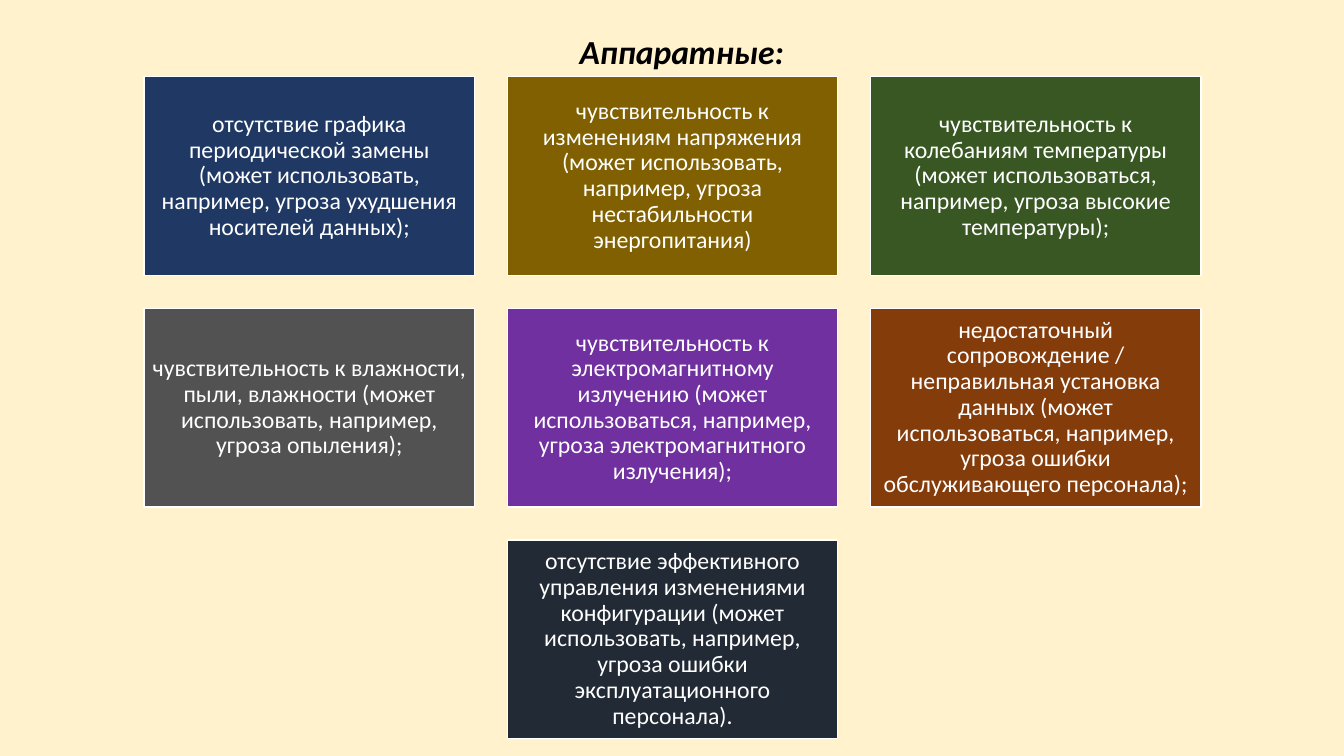
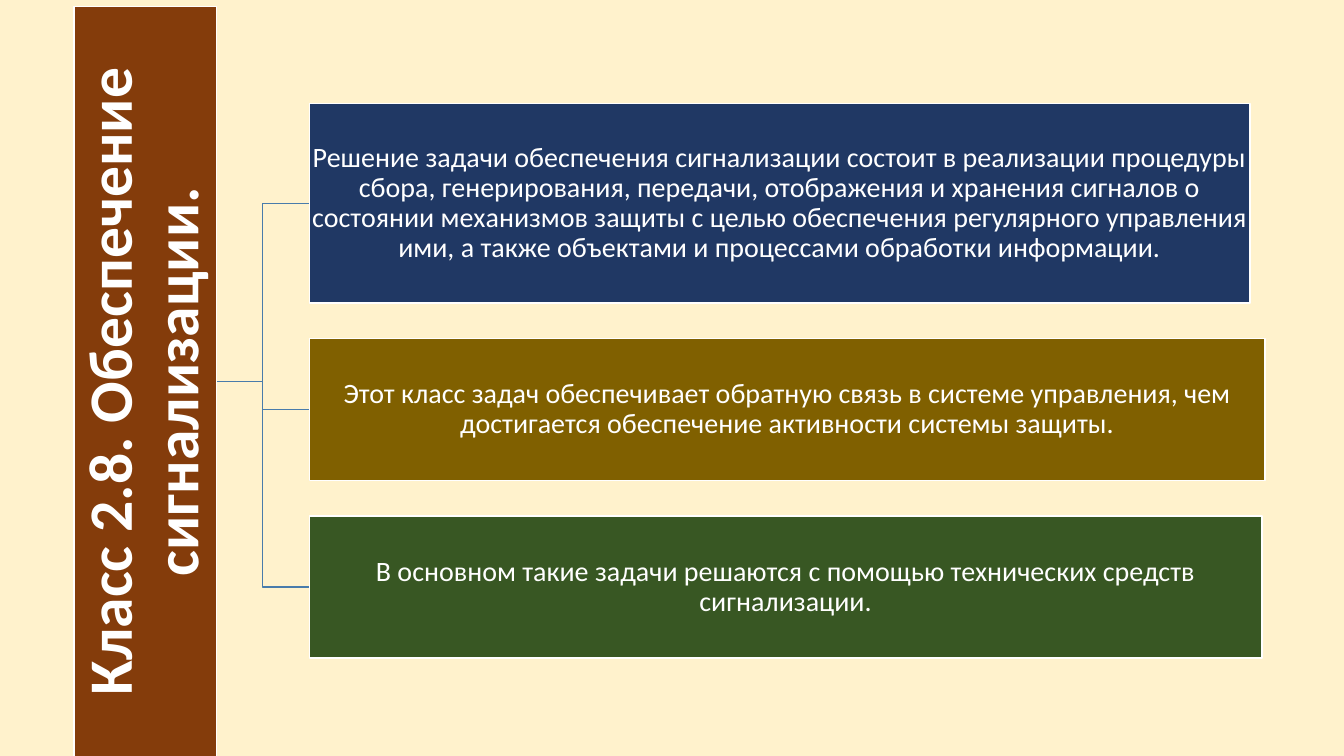
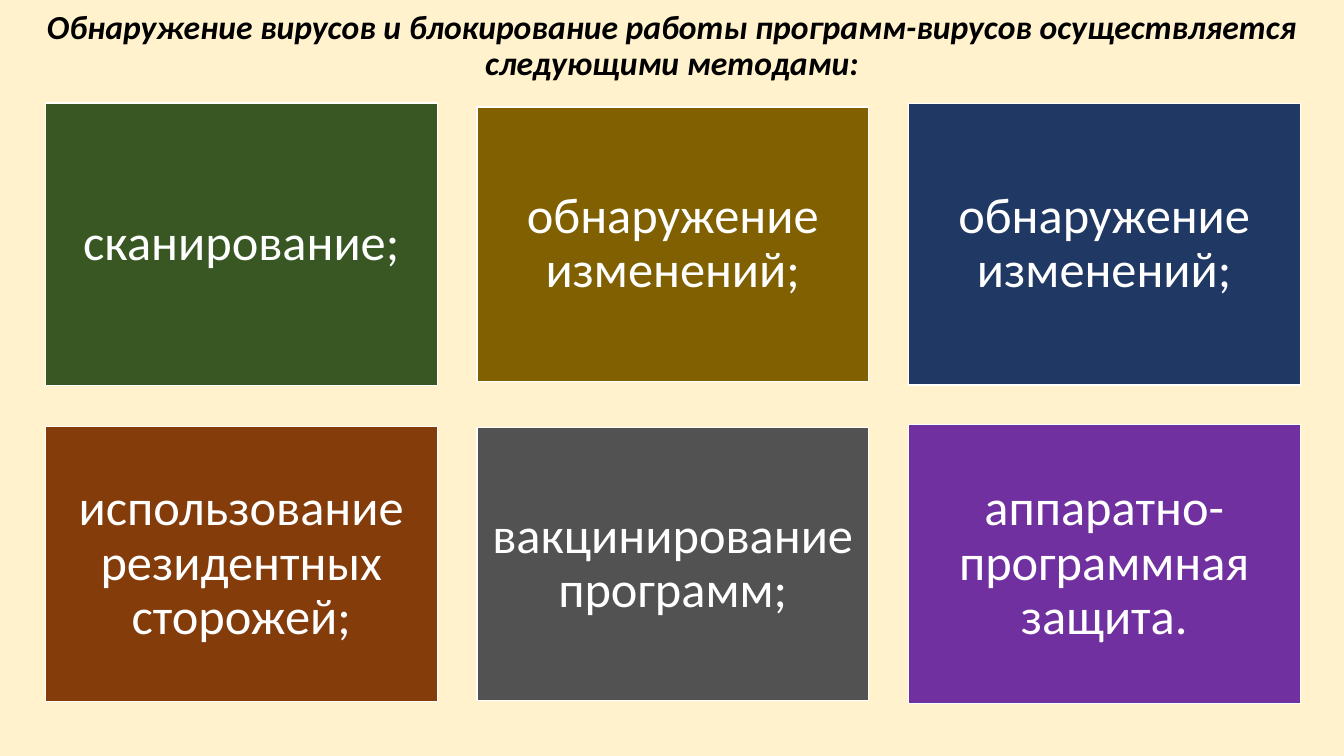
import pptx
import pptx.util
import pptx.dml.color
import pptx.enum.shapes
import pptx.enum.text
import pptx.oxml.ns
import lxml.etree

Pt = pptx.util.Pt
RGBColor = pptx.dml.color.RGBColor

CREAM = RGBColor(0xFF, 0xF2, 0xCC)
WHITE = RGBColor(0xFF, 0xFF, 0xFF)
BLACK = RGBColor(0x00, 0x00, 0x00)
NAVY = RGBColor(0x20, 0x38, 0x64)
OLIVE = RGBColor(0x80, 0x60, 0x00)
GREEN = RGBColor(0x38, 0x57, 0x23)
GRAY = RGBColor(0x52, 0x52, 0x52)
PURPLE = RGBColor(0x70, 0x30, 0xA0)
BROWN = RGBColor(0x84, 0x3C, 0x0B)
SLATE = RGBColor(0x22, 0x2A, 0x35)
BLUE = RGBColor(0x49, 0x7C, 0xAB)

FONT = "Calibri"
COLUMNS = 3

HARDWARE_TITLE = "Аппаратные:"
HARDWARE_CARDS = [
    (NAVY, "отсутствие графика периодической замены (может использовать, например, угроза ухудшения носителей данных);"),
    (OLIVE, "чувствительность к изменениям напряжения (может использовать, например, угроза нестабильности энергопитания)"),
    (GREEN, "чувствительность к колебаниям температуры (может использоваться, например, угроза высокие температуры);"),
    (GRAY, "чувствительность к влажности, пыли, влажности (может использовать, например, угроза опыления);"),
    (PURPLE, "чувствительность к электромагнитному излучению (может использоваться, например, угроза электромагнитного излучения);"),
    (BROWN, "недостаточный сопровождение / неправильная установка данных (может использоваться, например, угроза ошибки обслуживающего персонала);"),
    (SLATE, "отсутствие эффективного управления изменениями конфигурации (может использовать, например, угроза ошибки эксплуатационного персонала)."),
]

SIGNAL_TITLE = "Класс 2.8. Обеспечение сигнализации."
SIGNAL_PANELS = [
    (NAVY, 671.8, 142.5, "Решение задачи обеспечения сигнализации состоит в реализации процедуры сбора, генерирования, передачи, отображения и хранения сигналов о состоянии механизмов защиты с целью обеспечения регулярного управления ими, а также объектами и процессами обработки информации."),
    (OLIVE, 682.6, 101.5, "Этот класс задач обеспечивает обратную связь в системе управления, чем достигается обеспечение активности системы защиты."),
    (GREEN, 680.4, 101.5, "В основном такие задачи решаются с помощью технических средств сигнализации."),
]

VIRUS_TITLE = "Обнаружение вирусов и блокирование работы программ-вирусов осуществляется следующими методами:"
VIRUS_CARDS = [
    (GREEN, 202, "сканирование;"),
    (OLIVE, 196, "обнаружение изменений;"),
    (NAVY, 201, "обнаружение изменений;"),
    (BROWN, 196.5, "использование резидентных сторожей;"),
    (GRAY, 195, "вакцинирование программ;"),
    (PURPLE, 199, "аппаратно-программная защита."),
]


def set_text(shape, text, size, color, inset, bold=False, italic=False):
    frame = shape.text_frame
    frame.word_wrap = True
    frame.vertical_anchor = pptx.enum.text.MSO_ANCHOR.MIDDLE
    frame.margin_left = frame.margin_right = Pt(inset)
    frame.margin_top = frame.margin_bottom = Pt(inset)
    para = frame.paragraphs[0]
    para.text = text
    para.alignment = pptx.enum.text.PP_ALIGN.CENTER
    para.line_spacing = 0.9
    font = para.font
    font.name, font.size = FONT, Pt(size)
    font.bold, font.italic = bold, italic
    font.color.rgb = color


def add_title(page, text, left, top, width, height):
    box = page.shapes.add_textbox(Pt(left), Pt(top), Pt(width), Pt(height))
    set_text(box, text, 24, BLACK, 5, bold=True, italic=True)


def add_card(page, left, top, width, height, fill, text, size, inset, bold=False):
    card = page.shapes.add_shape(
        pptx.enum.shapes.MSO_SHAPE.RECTANGLE, Pt(left), Pt(top), Pt(width), Pt(height))
    card.shadow.inherit = False
    card.fill.solid()
    card.fill.fore_color.rgb = fill
    card.line.color.rgb = WHITE
    card.line.width = Pt(1)
    set_text(card, text, size, WHITE, inset, bold)
    return card


def add_branch(page, start_x, start_y, end_x, end_y):
    branch = page.shapes.add_connector(
        pptx.enum.shapes.MSO_CONNECTOR.ELBOW, Pt(start_x), Pt(start_y), Pt(end_x), Pt(end_y))
    branch.line.color.rgb = BLUE
    branch.line.width = Pt(1)
    lxml.etree.SubElement(branch._element.spPr, pptx.oxml.ns.qn("a:effectLst"))


def build_hardware(page):
    add_title(page, HARDWARE_TITLE, 73, 18, 828, 40)
    left, top, width, height, gap = 103, 54.8, 236, 142, 23.4
    for index, (fill, text) in enumerate(HARDWARE_CARDS):
        row, column = divmod(index, COLUMNS)
        in_row = min(COLUMNS, len(HARDWARE_CARDS) - row * COLUMNS)
        column += (COLUMNS - in_row) / 2
        add_card(page, left + column * (width + gap), top + row * (height + gap),
                 width, height, fill, text, 17, 5)


def build_signal(page):
    center_x, center_y, length, thickness = 103.7, 272.5, 535.7, 101.5
    panel_left, top, gap = 221, 74, 25.3
    placed = []
    for fill, width, height, text in SIGNAL_PANELS:
        placed.append((panel_left, top, width, height, fill, text))
        top += height + gap
    for left, top, width, height, fill, text in reversed(placed):
        add_branch(page, center_x + thickness / 2, center_y, left, top + height / 2)
    bar = add_card(page, center_x - length / 2, center_y - thickness / 2, length, thickness,
                   BROWN, SIGNAL_TITLE, 44, 2, bold=True)
    bar.rotation = 270
    for panel in placed:
        add_card(page, *panel, 20, 1)


def build_virus(page):
    add_title(page, VIRUS_TITLE, 20, 13, 920, 40)
    left, width, pitch = 32.4, 280, 308.2
    row_centers = [174.6, 402.9]
    for index, (fill, height, text) in enumerate(VIRUS_CARDS):
        row, column = divmod(index, COLUMNS)
        add_card(page, left + column * pitch, row_centers[row] - height / 2,
                 width, height, fill, text, 36, 10)


def main():
    deck = pptx.Presentation()
    deck.slide_width, deck.slide_height = Pt(960), Pt(540)
    background = deck.slide_master.background.fill
    background.solid()
    background.fore_color.rgb = CREAM
    for build in (build_hardware, build_signal, build_virus):
        build(deck.slides.add_slide(deck.slide_layouts[6]))
    deck.save("out.pptx")


if __name__ == "__main__":
    main()
